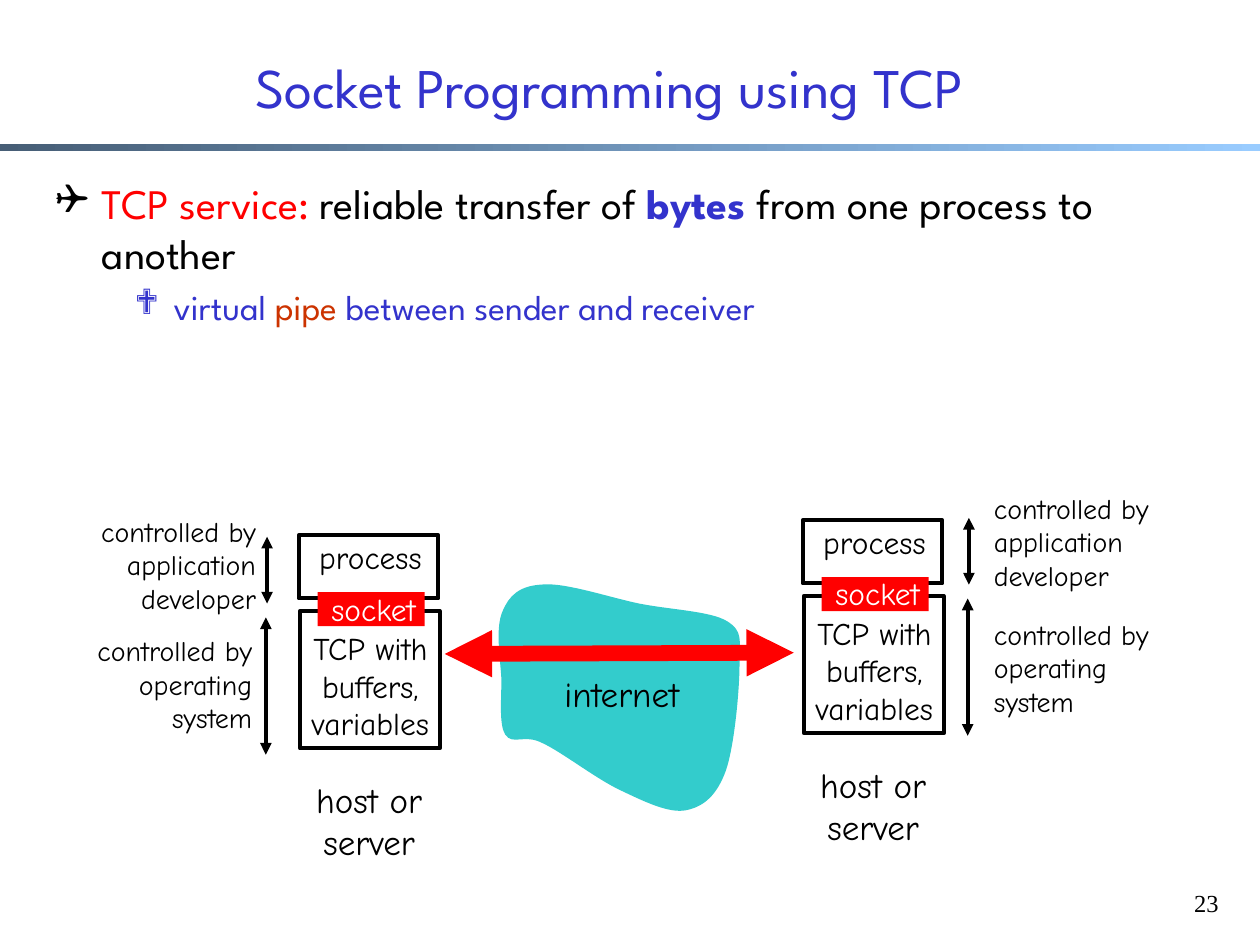
from dataclasses import dataclass

from lxml.etree import SubElement
from pptx import Presentation
from pptx.dml.color import RGBColor
from pptx.enum.shapes import MSO_CONNECTOR, MSO_SHAPE
from pptx.enum.text import MSO_ANCHOR, MSO_AUTO_SIZE, PP_ALIGN
from pptx.oxml.ns import qn
from pptx.util import Inches, Pt


@dataclass(frozen=True)
class Theme:
    blue: str = "3333CC"
    red: str = "FF0000"
    rust: str = "CC3300"
    teal: str = "33CCCC"
    black: str = "000000"
    white: str = "FFFFFF"
    rule_start: str = "475E76"
    rule_end: str = "99CCFF"
    heading: str = "League Spartan"
    hand: str = "Comic Neue"
    number: str = "Times New Roman"
    symbol: str = "Wingdings"
    title: int = 32
    body: int = 24
    sub: int = 20
    caption: int = 20
    box: int = 18
    note: int = 16
    page: int = 14
    line: float = 2.25
    pipe: int = 9


T = Theme()
ALIGN = {"l": PP_ALIGN.LEFT, "c": PP_ALIGN.CENTER, "r": PP_ALIGN.RIGHT}

# Cloud outline: start point, then (control, control, end) for each curve
CLOUD_START = (4.3, 4.64)
CLOUD_CURVES = [
    ((4.12, 4.65), (4.04, 4.73), (3.99, 4.85)),
    ((3.93, 4.98), (3.97, 5.22), (3.98, 5.39)),
    ((3.98, 5.55), (3.96, 5.75), (4.01, 5.83)),
    ((4.07, 5.92), (4.16, 5.82), (4.31, 5.9)),
    ((4.46, 5.97), (4.73, 6.18), (4.92, 6.27)),
    ((5.11, 6.36), (5.31, 6.46), (5.45, 6.43)),
    ((5.59, 6.4), (5.69, 6.31), (5.76, 6.12)),
    ((5.83, 5.92), (5.87, 5.47), (5.87, 5.27)),
    ((5.87, 5.08), (5.9, 5.01), (5.77, 4.93)),
    ((5.64, 4.85), (5.32, 4.84), (5.07, 4.79)),
    ((4.83, 4.74), (4.48, 4.62), CLOUD_START),
]


def rgb(color):
    return RGBColor.from_string(color)


def add_run(p, text, *, size, font, color=T.black, bold=False):
    r = p.add_run()
    r.text = text
    r.font.size, r.font.name, r.font.bold = Pt(size), font, bold
    r.font.color.rgb = rgb(color)


def add_text(parent, text, box, *, align="l", anchor=MSO_ANCHOR.MIDDLE,
             wrap=False, font=T.hand, **fmt):
    """Text box with one paragraph for each line of text."""
    tf = parent.add_textbox(*map(Inches, box)).text_frame
    tf.word_wrap = wrap
    tf.auto_size = MSO_AUTO_SIZE.NONE if wrap else MSO_AUTO_SIZE.SHAPE_TO_FIT_TEXT
    tf.vertical_anchor = anchor
    for i, line in enumerate(text.split("\n")):
        p = tf.add_paragraph() if i else tf.paragraphs[0]
        p.alignment = ALIGN[align]
        add_run(p, line, font=font, **fmt)


def add_rect(parent, box, *, fill=None, line=None):
    sp = parent.add_shape(MSO_SHAPE.RECTANGLE, *map(Inches, box))
    sp.shadow.inherit = False
    if fill:
        sp.fill.solid()
        sp.fill.fore_color.rgb = rgb(fill)
    else:
        sp.fill.background()
    if line:
        sp.line.color.rgb = rgb(line)
        sp.line.width = Pt(T.line)
    else:
        sp.line.fill.background()
    return sp


def add_double_arrow(parent, start, end, *, color=T.black, width=T.line):
    cx = parent.add_connector(MSO_CONNECTOR.STRAIGHT, *map(Inches, start + end))
    cx.line.color.rgb = rgb(color)
    cx.line.width = Pt(width)
    for tag in ("a:headEnd", "a:tailEnd"):
        SubElement(cx.line._get_or_add_ln(), qn(tag), type="triangle")
    SubElement(cx._element.spPr, qn("a:effectLst"))


def add_bullet(p, char, color, left, hanging):
    pPr = p._p.get_or_add_pPr()
    pPr.set("marL", str(Inches(left)))
    pPr.set("indent", str(-Inches(hanging)))
    SubElement(SubElement(pPr, qn("a:buClr")), qn("a:srgbClr"), val=color)
    SubElement(pPr, qn("a:buFont"), typeface=T.symbol)
    SubElement(pPr, qn("a:buChar"), char=char)


def header(s):
    rule = add_rect(s.shapes, (0, 1.14, 10, 0.06), fill=T.rule_start)
    rule.fill.gradient()
    rule.fill.gradient_angle = 0
    for stop, color in zip(rule.fill.gradient_stops, (T.rule_start, T.rule_end)):
        stop.color.rgb = rgb(color)
    add_text(s.shapes, "Socket Programming using TCP", (0.59, 0.15, 8.5, 1.06),
             align="c", wrap=True, font=T.heading, size=T.title, color=T.blue)
    add_text(s.shapes, "23", (9.09, 7, 0.68, 0.5), align="r", wrap=True,
             anchor=MSO_ANCHOR.TOP, font=T.number, size=T.page)


def bullets(s, box):
    tf = s.shapes.add_textbox(*map(Inches, box)).text_frame
    tf.word_wrap = True
    p = tf.paragraphs[0]
    add_bullet(p, "❑", T.black, 0.37, 0.37)
    for text, color, bold in (("TCP service:", T.red, False),
                              (" reliable transfer of ", T.black, False),
                              ("bytes ", T.blue, True),
                              ("from one process to another", T.black, False)):
        add_run(p, text, size=T.body, font=T.heading, color=color, bold=bold)
    p = tf.add_paragraph()
    p.level = 1
    p.space_before = Pt(4)
    add_bullet(p, "❖", T.blue, 0.94, 0.31)
    for text, color in (("virtual ", T.blue), ("pipe", T.rust),
                        (" between sender and receiver", T.blue)):
        add_run(p, text, size=T.sub, font=T.heading, color=color)


def host(s, x, y):
    """Process over TCP, joined by a socket, with its top left at x, y."""
    g = s.shapes.add_group_shape().shapes
    label = dict(align="c", size=T.box)
    add_rect(g, (x, y, 1.11, 0.5), fill=T.white, line=T.black)
    add_text(g, "process", (x + 0.02, y - 0.03, 1.1, 0.4), **label)
    add_text(g, "TCP with\nbuffers,\nvariables", (x - 0.05, y + 0.69, 1.24, 1), **label)
    add_rect(g, (x + 0.01, y + 0.6, 1.11, 1.09), line=T.black)
    add_rect(g, (x + 0.15, y + 0.45, 0.85, 0.27), fill=T.red)
    add_text(g, "socket", (x + 0.11, y + 0.38, 0.97, 0.4), color=T.white, **label)
    add_text(s.shapes, "host or\nserver", (x - 0.01, y + 1.88, 1.14, 0.77),
             align="c", size=T.caption)


def control_notes(s, arrow_x, y, notes, align):
    """Spans of control beside a host whose top is y; notes are placed (x, y)."""
    owners = ("application\ndeveloper", "operating\nsystem")
    spans = ((0, 0.01, 0.54), (-0.01, 0.65, 1.74))
    for owner, (dx, top, bottom), at in zip(owners, spans, notes):
        add_text(s.shapes, "controlled by\n" + owner, at + (1.56, 0.9),
                 align=align, size=T.note)
        add_double_arrow(s.shapes, (arrow_x + dx, y + bottom), (arrow_x + dx, y + top))


def add_curved_shape(parent, start, curves, color):
    """Closed outline of cubic curves; each takes three consecutive points."""
    units = 100
    fb = parent.build_freeform(*(v * units for v in start), scale=Inches(1) / units)
    fb.add_line_segments([(x * units, y * units) for c in curves for x, y in c])
    sp = fb.convert_to_shape()
    lines = list(sp._element.iter(qn("a:lnTo")))
    for i in range(0, len(lines), 3):
        curve = SubElement(lines[i].getparent(), qn("a:cubicBezTo"))
        for ln in lines[i:i + 3]:
            curve.append(ln[0])
            ln.getparent().remove(ln)
    outline = curve.getparent()
    for close in outline.findall(qn("a:close")):
        outline.append(close)
    sp.shadow.inherit = False
    sp.fill.solid()
    sp.fill.fore_color.rgb = rgb(color)
    sp.line.fill.background()


def internet(s):
    add_curved_shape(s.shapes, CLOUD_START, CLOUD_CURVES, T.teal)
    add_text(s.shapes, "internet", (4.3, 5.29, 1.27, 0.43), align="c", size=T.caption)
    add_double_arrow(s.shapes, (6.3, 5.18), (3.53, 5.19), color=T.red, width=T.pipe)


def main():
    prs = Presentation()
    prs.slide_width, prs.slide_height = Inches(10), Inches(7.5)
    s = prs.slides.add_slide(prs.slide_layouts[6])
    header(s)
    bullets(s, (0.34, 1.36, 9.42, 2.17))
    # Left and right hosts
    host(s, 2.37, 4.25)
    control_notes(s, 2.12, 4.25, ((0.57, 4.03), (0.54, 4.98)), "r")
    host(s, 6.37, 4.13)
    control_notes(s, 7.69, 4.1, ((7.79, 3.85), (7.79, 4.85)), "l")
    # Pipe between them
    internet(s)
    prs.save("out.pptx")


if __name__ == "__main__":
    main()
